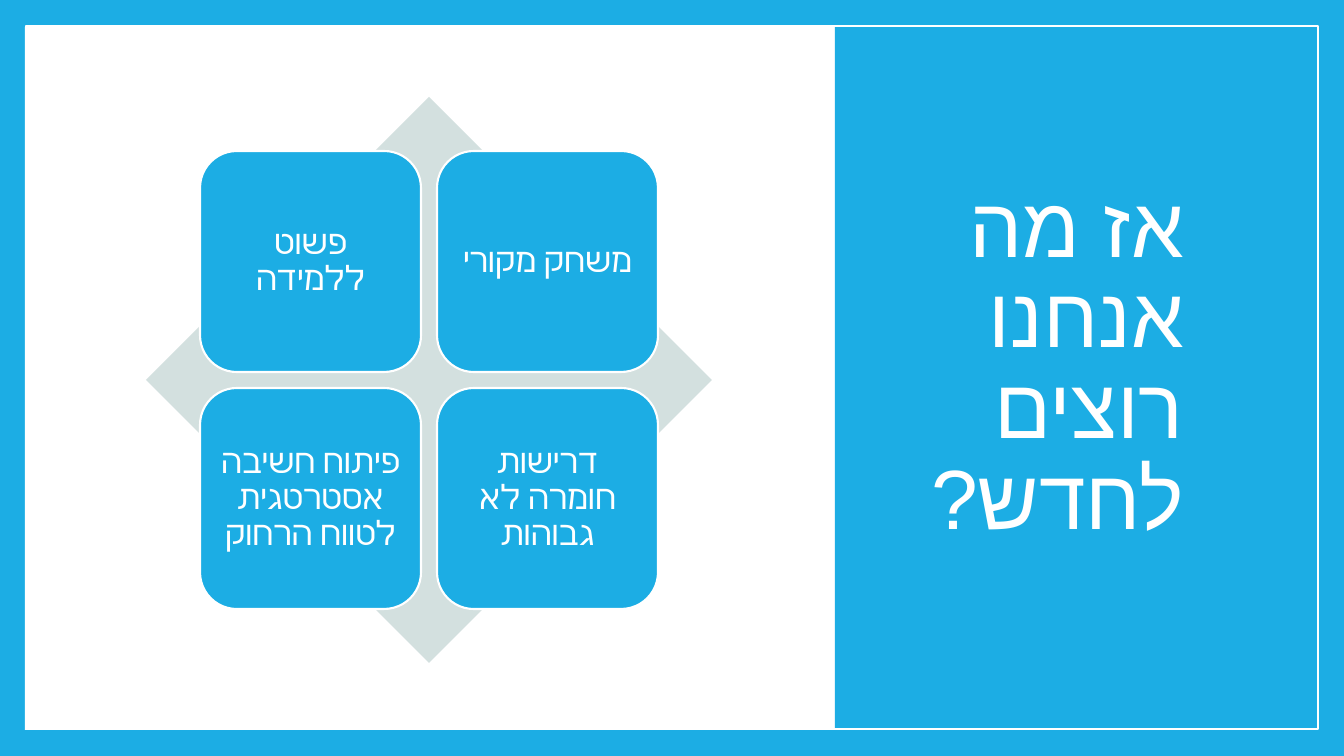
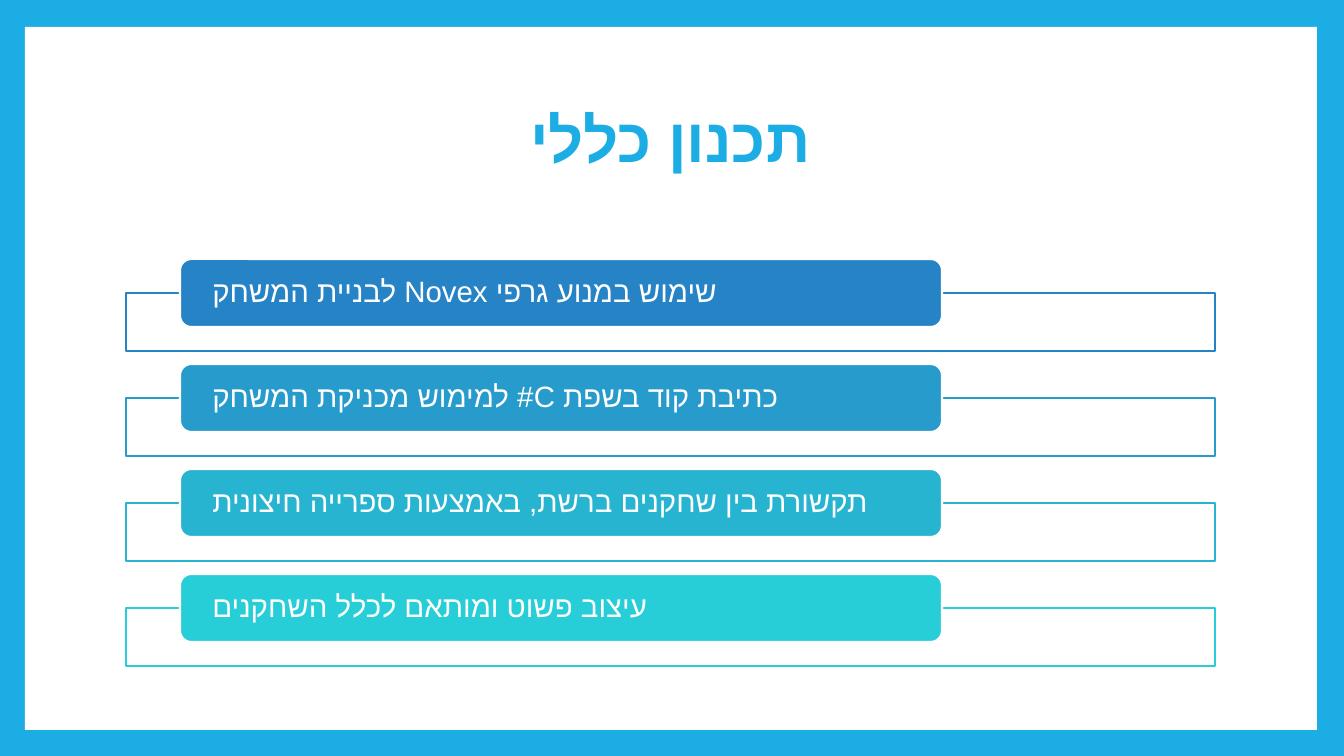
from lxml import etree
from pptx import Presentation
from pptx.dml.color import RGBColor
from pptx.enum.shapes import MSO_SHAPE
from pptx.enum.text import MSO_ANCHOR, PP_ALIGN
from pptx.oxml.ns import qn
from pptx.util import Pt

RECT, ROUND, DIAMOND = MSO_SHAPE.RECTANGLE, MSO_SHAPE.ROUNDED_RECTANGLE, MSO_SHAPE.DIAMOND
LEFT, CENTER, RIGHT = PP_ALIGN.LEFT, PP_ALIGN.CENTER, PP_ALIGN.RIGHT
MIDDLE = MSO_ANCHOR.MIDDLE

BLUE = RGBColor(0x1C, 0xAD, 0xE4)
WHITE = RGBColor(0xFF, 0xFF, 0xFF)
PALE = RGBColor(0xD3, 0xE0, 0xDF)
ROW_COLORS = [
    RGBColor(0x26, 0x83, 0xC6),
    RGBColor(0x26, 0x9B, 0xCC),
    RGBColor(0x27, 0xB4, 0xD1),
    RGBColor(0x27, 0xCE, 0xD7),
]

WIDTH, HEIGHT = 1344, 756
PX = 12192000 / WIDTH


def add_box(s, box, shape=RECT, fill=None, line=None, line_width=1.5):
    sp = s.shapes.add_shape(shape, *(round(v * PX) for v in box))
    sp.shadow.inherit = False
    if fill is None:
        sp.fill.background()
    else:
        sp.fill.solid()
        sp.fill.fore_color.rgb = fill
    if line is None:
        sp.line.fill.background()
    else:
        sp.line.color.rgb = line
        sp.line.width = Pt(line_width)
    return sp


def write(sp, text, align, size, color=WHITE, font="Arial", bold=False,
          inset=(10, 5), rtl=True):
    """Fill a shape with one vertically centred paragraph; inset is (sides, top and bottom)."""
    tf = sp.text_frame
    side, end = (round(v * PX) for v in inset)
    frame = {"word_wrap": True, "vertical_anchor": MIDDLE, "margin_left": side,
             "margin_right": side, "margin_top": end, "margin_bottom": end}
    for name, value in frame.items():
        setattr(tf, name, value)
    p = tf.paragraphs[0]
    p.alignment = align
    p.line_spacing = 0.9
    if rtl:
        p._p.get_or_add_pPr().set("rtl", "1")
    r = p.add_run()
    r.text = text
    for name, value in {"size": Pt(size), "name": font, "bold": bold}.items():
        setattr(r.font, name, value)
    r.font.color.rgb = color
    # Hebrew letters take the complex-script font
    etree.SubElement(r._r.get_or_add_rPr(), qn("a:cs")).set("typeface", font)


prs = Presentation()
prs.slide_width, prs.slide_height = round(WIDTH * PX), round(HEIGHT * PX)

slides = []
for _ in range(2):
    s = prs.slides.add_slide(prs.slide_layouts[6])
    s.background.fill.solid()
    s.background.fill.fore_color.rgb = BLUE
    add_box(s, (25, 27, 1292, 703), fill=WHITE)
    slides.append(s)
goals, plan = slides

# Slide 1: four goals on a diamond, title on a side panel
add_box(goals, (835, 26, 484, 704), fill=BLUE)
write(add_box(goals, (800, 68, 394, 596)), "אז מה אנחנו רוצים לחדש?", RIGHT, 60)
add_box(goals, (26, 26, 1292, 703), line=WHITE, line_width=1)
add_box(goals, (146, 97, 566, 566), DIAMOND, PALE)

CARD, CARD_STEP = 221, 237
cards = ["פשוט ללמידה", "משחק מקורי",
         "פיתוח חשיבה אסטרטגית לטווח הרחוק", "דרישות חומרה לא גבוהות"]
for i, text in enumerate(cards):
    row, col = divmod(i, 2)
    card = add_box(goals, (200 + col * CARD_STEP, 151 + row * CARD_STEP, CARD, CARD),
                   ROUND, BLUE, WHITE)
    write(card, text, CENTER, 24, font="Cabin", inset=(10, 10), rtl=False)

# Slide 2: the plan as labelled rows
write(add_box(plan, (520, 68, 797, 149)), "תכנון כללי", LEFT, 44, BLUE, bold=True)

ROW_STEP = 105
steps = ["שימוש במנוע גרפי Novex לבניית המשחק",
         "כתיבת קוד בשפת C# למימוש מכניקת המשחק",
         "תקשורת בין שחקנים ברשת, באמצעות ספרייה חיצונית",
         "עיצוב פשוט ומותאם לכלל השחקנים"]
for i, (text, color) in enumerate(zip(steps, ROW_COLORS)):
    y = 259 + i * ROW_STEP
    add_box(plan, (126, y + 34, 1089, 58), fill=WHITE, line=color)
    label = add_box(plan, (180, y, 762, 68), ROUND, color, WHITE)
    write(label, text, LEFT, 21, inset=(29, 0))

prs.save("out.pptx")
